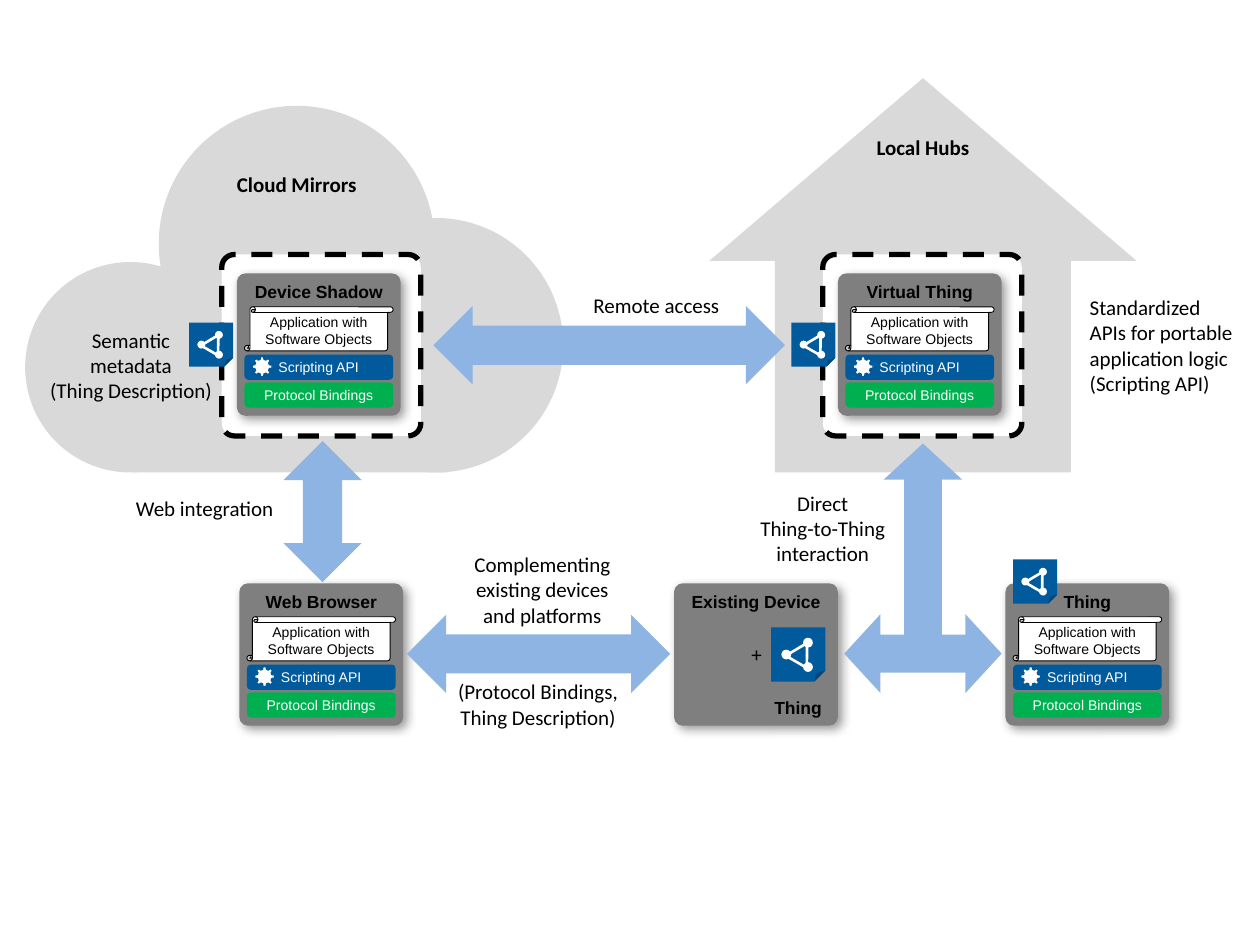
"""Draws a map of how things, hubs, clouds and browsers link up."""
from dataclasses import dataclass
from math import cos, radians, sin
from typing import Any, Optional

from lxml import etree
from pptx import Presentation
from pptx.dml.color import RGBColor
from pptx.enum.dml import MSO_LINE
from pptx.enum.shapes import MSO_SHAPE
from pptx.enum.text import MSO_ANCHOR, MSO_AUTO_SIZE, PP_ALIGN
from pptx.oxml.ns import qn
from pptx.util import Emu, Inches, Pt

COLS, ROWS = 100, 75
WIDE, HIGH = Inches(10), Inches(7.5)
RECT, ROUND, OVAL = MSO_SHAPE.RECTANGLE, MSO_SHAPE.ROUNDED_RECTANGLE, MSO_SHAPE.OVAL
ROOF, FOLD, SCROLL = MSO_SHAPE.ISOSCELES_TRIANGLE, MSO_SHAPE.FOLDED_CORNER, MSO_SHAPE.VERTICAL_SCROLL
ARROW, FORK = MSO_SHAPE.LEFT_RIGHT_ARROW, MSO_SHAPE.LEFT_RIGHT_UP_ARROW
LEFT, MID, RIGHT = PP_ALIGN.LEFT, PP_ALIGN.CENTER, PP_ALIGN.RIGHT
TOP, CORE = MSO_ANCHOR.TOP, MSO_ANCHOR.MIDDLE
GROW, DASH = MSO_AUTO_SIZE.SHAPE_TO_FIT_TEXT, MSO_LINE.DASH


@dataclass(frozen=True)
class Theme:
    """Colours, fonts and type sizes."""
    black: str = "000000"
    white: str = "FFFFFF"
    pale: str = "D9D9D9"
    gray: str = "7F7F7F"
    blue: str = "005A9C"
    green: str = "00B050"
    sky: str = "8EB4E3"
    sans: str = "Arial"
    body: str = "Calibri"
    small: float = 8
    head: float = 10
    note: float = 12


@dataclass(frozen=True)
class Box:
    """A place in grid columns and rows."""
    x: float
    y: float
    w: float
    h: float

    def place(self) -> tuple[int, int, int, int]:
        """Return left, top, width and height in EMU."""
        return (Emu(int(self.x * WIDE / COLS)), Emu(int(self.y * HIGH / ROWS)),
                Emu(int(self.w * WIDE / COLS)), Emu(int(self.h * HIGH / ROWS)))


@dataclass(frozen=True)
class Type:
    """The look of a piece of text."""
    size: float
    font: str
    tint: str
    bold: bool = False
    align: Any = MID


@dataclass(frozen=True)
class Label:
    """A free text with one entry per paragraph."""
    box: Box
    words: tuple[str, ...]
    type: Type
    wrap: bool = False


T = Theme()
HEAD = Type(T.head, T.sans, T.black, True)
BAR = Type(T.small, T.sans, T.white)
CODE = Type(T.small, T.sans, T.black)
NOTE = Type(T.note, T.body, T.black)
SIDE = Type(T.note, T.body, T.black, align=LEFT)
NAME = Type(T.note, T.body, T.black, True)
TAIL = Type(T.head, T.sans, T.black, True, RIGHT)

HOUSE = ((RECT, Box(61.5, 20.7, 23.5, 16.8)), (ROOF, Box(56.3, 6.2, 33.9, 14.5)))
CLOUD = ((OVAL, Box(2, 20.8, 16.7, 16.7)), (OVAL, Box(12.6, 8.4, 21.9, 21.9)),
         (OVAL, Box(24.5, 17.3, 20.2, 20.2)), (RECT, Box(10.6, 25.7, 24.9, 11.8)))
FRAMES = (Box(65.3, 20.2, 15.8, 14.4), Box(17.6, 20.2, 15.8, 14.4))
STACKS = (("Thing", 79.8, 46.3), ("Virtual Thing", 66.5, 21.7),
          ("Device Shadow", 18.8, 21.7), ("Web Browser", 19, 46.3))
ICONS = ((80.4, 44.4, 3.5), (62.8, 25.6, 3.5), (15, 25.6, 3.5), (61.2, 49.8, 4.3))
DOTS = ((0.59, 0.19, 330), (0.19, 0.41, 330), (0.59, 0.64, 30))
ARROWS = ((Box(32.3, 48.8, 20.9, 6.2), 0), (Box(20, 37.5, 11.2, 6.2), 270),
          (Box(34.4, 24.3, 27.9, 6.2), 0))
LABELS = (
    Label(Box(85.5, 22.9, 14.1, 9.1),
          ("Standardized\nAPIs for portable application logic", "(Scripting API)"), SIDE, True),
    Label(Box(9.8, 38.8, 13.1, 3), ("Web integration",), SIDE),
    Label(Box(36.6, 43.3, 12.9, 7.1), ("Complementing", "existing devices", "and platforms"), NOTE),
    Label(Box(2.8, 25.5, 15.2, 7.1), ("Semantic\nmetadata", "(Thing Description)"), NOTE, True),
    Label(Box(59.3, 38.4, 12, 7.1), ("Direct\nThing-to-Thing\ninteraction",), NOTE),
    Label(Box(67.3, 10.2, 11.9, 3), ("Local Hubs",), NAME, True),
    Label(Box(15.9, 13.1, 15.3, 3), ("Cloud Mirrors",), NAME, True),
    Label(Box(58.6, 50.4, 2.9, 3), ("+",), NOTE),
    Label(Box(35.3, 53.4, 14.8, 5), ("(Protocol Bindings,\nThing Description)",), NOTE),
    Label(Box(46, 22.7, 12.2, 3), ("Remote access",), NOTE),
    Label(Box(60.2, 54.8, 6, 2.8), ("Thing",), TAIL),
)


def paint(shape: Any, fill: Optional[str], line: Optional[str] = None, width: float = 0) -> None:
    """Set fill and line and drop the shadow."""
    shape.shadow.inherit = False
    if fill:
        shape.fill.solid()
        shape.fill.fore_color.rgb = RGBColor.from_string(fill)
    else:
        shape.fill.background()
    if line:
        shape.line.color.rgb = RGBColor.from_string(line)
        shape.line.width = Pt(width)
    else:
        shape.line.fill.background()


def bend(shape: Any, bends: dict[str, float]) -> None:
    """Write the named guides of a preset shape."""
    guides = shape.element.spPr.find(qn("a:prstGeom")).find(qn("a:avLst"))
    for old in list(guides):
        guides.remove(old)
    for name, share in bends.items():
        etree.SubElement(guides, qn("a:gd"), name=name, fmla=f"val {round(share * 100000)}")


def form(host: Any, kind: Any, box: Box, fill: Optional[str], line: Optional[str] = None,
         width: float = 0, turn: float = 0, **bends: float) -> Any:
    """Add a preset shape."""
    shape = host.add_shape(kind, *box.place())
    paint(shape, fill, line, width)
    if bends:
        bend(shape, bends)
    shape.rotation = turn
    return shape


def write(shape: Any, words: tuple[str, ...], look: Type, wrap: bool, hold: Any) -> None:
    """Fill a shape with paragraphs, run by run."""
    frame = shape.text_frame
    frame.word_wrap, frame.vertical_anchor = wrap, hold
    for i, part in enumerate(words):
        para = frame.add_paragraph() if i else frame.paragraphs[0]
        para.alignment = look.align
        for j, line in enumerate(part.split("\n")):
            if j:
                para.add_line_break()
            run = para.add_run()
            run.text = line
            run.font.name, run.font.size, run.font.bold = look.font, Pt(look.size), look.bold
            run.font.color.rgb = RGBColor.from_string(look.tint)


def shade(shape: Any) -> None:
    """Cast a soft shadow to the lower right."""
    cast = etree.SubElement(shape.element.spPr.find(qn("a:effectLst")), qn("a:outerShdw"),
                            blurRad=str(Pt(6)), dist=str(Pt(3)), dir="2700000",
                            algn="tl", rotWithShape="0")
    tint = etree.SubElement(cast, qn("a:srgbClr"), val=T.black)
    etree.SubElement(tint, qn("a:alpha"), val="40000")


def card(host: Any, title: str, x: float, y: float) -> None:
    """Draw a gray card with its title."""
    shape = form(host, ROUND, Box(x, y, 13, 11.3), T.gray, adj=0.06)
    shade(shape)
    write(shape, (title,), HEAD, False, TOP)
    shape.text_frame.margin_top = shape.text_frame.margin_bottom = Inches(0.04)


def gear(host: Any, x: float, y: float) -> None:
    """Draw a gear with eight teeth around a centre."""
    unit = WIDE / COLS
    spots = [(unit * (x + r * cos(radians(45 * k + a))), unit * (y + r * sin(radians(45 * k + a))))
             for k in range(8) for a, r in ((-15, 0.6), (-9, 0.8), (9, 0.8), (15, 0.6))]
    pen = host.build_freeform(*spots[0], scale=1.0)
    pen.add_line_segments(spots[1:], close=True)
    paint(pen.convert_to_shape(), T.white, T.blue, 0.75)


def stack(host: Any, title: str, x: float, y: float) -> None:
    """Draw a card with its three layers."""
    card(host, title, x, y)
    for word, drop, fill in (("Protocol Bindings", 8.65, T.green), ("Scripting API", 6.45, T.blue)):
        bar = form(host, ROUND, Box(x + 0.6, y + drop, 11.8, 2), fill)
        write(bar, (word,), BAR, True, CORE)
    page = form(host, SCROLL, Box(x + 0.6, y + 2.65, 11.8, 3.5), T.white, T.black, 0.5)
    write(page, ("Application with\nSoftware Objects",), CODE, False, CORE)
    gear(host, x + 2, y + 7.4)


def icon(host: Any, x: float, y: float, size: float) -> None:
    """Draw a folded note with three linked dots."""
    def part(left: float, top: float, wide: float, high: float) -> Box:
        return Box(x + left * size, y + top * size, wide * size, high * size)

    form(host, FOLD, part(0, 0, 1, 1), T.blue, adj=0.2)
    form(host, ROOF, part(0.34, 0.26, 0.45, 0.4), None, T.white, 1.5, 30)
    for left, top, turn in DOTS:
        form(host, OVAL, part(left, top, 0.18, 0.18), T.white, turn=turn)


def main() -> None:
    """Build and save the slide."""
    deck = Presentation()
    deck.slide_width, deck.slide_height = WIDE, HIGH
    host = deck.slides.add_slide(deck.slide_layouts[6]).shapes
    for parts in (HOUSE, CLOUD):
        group = host.add_group_shape().shapes
        for kind, box in parts:
            form(group, kind, box, T.pale)
    for box in FRAMES:
        form(host, ROUND, box, T.white, T.black, 3, adj=0.07).line.dash_style = DASH
    for title, x, y in STACKS:
        stack(host, title, x, y)
    card(host, "Existing Device", 53.5, 46.3)
    for box, turn in ARROWS:
        form(host, ARROW, box, T.sky, turn=turn)
    form(host, FORK, Box(67, 35.2, 12.5, 19.8), T.sky, adj1=0.24, adj2=0.25, adj3=0.23)
    for x, y, size in ICONS:
        icon(host.add_group_shape().shapes, x, y, size)
    for label in LABELS:
        area = host.add_textbox(*label.box.place())
        write(area, label.words, label.type, label.wrap, TOP)
        area.text_frame.auto_size = GROW
    deck.save("out.pptx")


if __name__ == "__main__":
    main()
